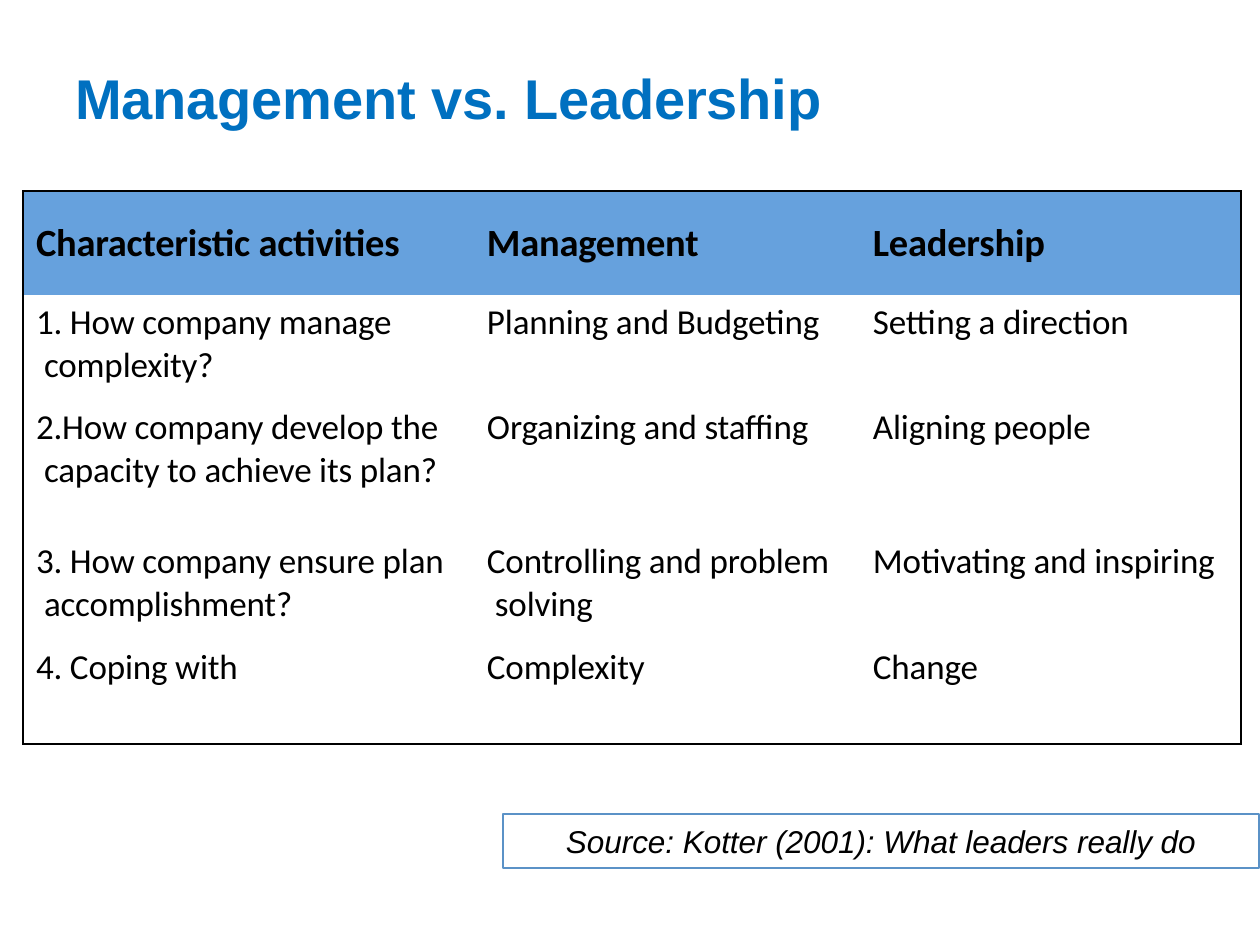
import pptx
import pptx.util
import pptx.dml.color
import pptx.enum.shapes
import pptx.enum.text
import pptx.oxml
import pptx.oxml.ns
import lxml.etree

PX = 914400 / 126
RGB = pptx.dml.color.RGBColor
WHITE = RGB(0xFF, 0xFF, 0xFF)
BLACK = RGB(0x00, 0x00, 0x00)
TITLE_BLUE = RGB(0x00, 0x70, 0xC0)
HEADER_BLUE = RGB(0x66, 0xA1, 0xDD)
BOX_BLUE = RGB(0x5B, 0x92, 0xC7)

TITLE_FONT = {"name": "Arial", "size": pptx.util.Pt(32), "bold": True}
HEADER_FONT = {"name": "Calibri", "size": pptx.util.Pt(22), "bold": True}
BODY_FONT = {"name": "Calibri", "size": pptx.util.Pt(20), "bold": False}
SOURCE_FONT = {"name": "Arial", "size": pptx.util.Pt(18), "italic": True}

COLUMNS = [445, 385, 388]
LEFT_INSETS = [13, 19, 20]
ROWS = [104, 102, 120, 120, 107]
TOP_INSETS = [29, 6, 9, 23, 9]
HANG = 8
ACTIVITIES = [
    ("Characteristic activities", "Management", "Leadership"),
    ("1. How company manage complexity?", "Planning and Budgeting", "Setting a direction"),
    ("2.How company develop the capacity to achieve its plan?", "Organizing and staffing",
     "Aligning people"),
    ("3. How company ensure plan accomplishment?", "Controlling and problem solving",
     "Motivating and inspiring"),
    ("4. Coping with", "Complexity", "Change"),
]


def emu(px):
    return pptx.util.Emu(round(px * PX))


def set_insets(target, left, top):
    insets = {"margin_left": left, "margin_top": top, "margin_right": 0, "margin_bottom": 0}
    for name, value in insets.items():
        setattr(target, name, emu(value))


def write(tf, text, font, color, spacing=-10):
    p = tf.paragraphs[0]
    p.alignment = pptx.enum.text.PP_ALIGN.LEFT
    r = p.add_run()
    r.text = text
    for name, value in font.items():
        setattr(r.font, name, value)
    r.font.color.rgb = color
    r._r.get_or_add_rPr().set("spc", str(spacing))
    return p


def set_borders(cell, visible):
    tcPr = cell._tc.get_or_add_tcPr()
    for i, side in enumerate("LRTB"):
        ln = lxml.etree.Element(pptx.oxml.ns.qn(f"a:ln{side}"), w="12700")
        if side in visible:
            fill = lxml.etree.SubElement(ln, pptx.oxml.ns.qn("a:solidFill"))
            lxml.etree.SubElement(fill, pptx.oxml.ns.qn("a:srgbClr"), val=str(BLACK))
        else:
            lxml.etree.SubElement(ln, pptx.oxml.ns.qn("a:noFill"))
        tcPr.insert(i, ln)


def place(sp, x, y, w, h):
    for name, value in {"left": x, "top": y, "width": w, "height": h}.items():
        setattr(sp, name, emu(value))


def add_title(s, x, y, w, h):
    sp = s.shapes.title
    place(sp, x, y, w, h)
    tf = sp.text_frame
    tf.word_wrap = True
    tf.auto_size = pptx.enum.text.MSO_AUTO_SIZE.NONE
    tf.vertical_anchor = pptx.enum.text.MSO_ANCHOR.TOP
    set_insets(tf, 1, 1)
    write(tf, "Management vs. Leadership", TITLE_FONT, TITLE_BLUE)


def add_comparison(s, x, y):
    frame = s.shapes.add_table(len(ROWS), len(COLUMNS), emu(x), emu(y),
                               emu(sum(COLUMNS)), emu(sum(ROWS)))
    table = frame.table
    table.horz_banding = False
    for column, width in zip(table.columns, COLUMNS):
        column.width = emu(width)
    for row, height in zip(table.rows, ROWS):
        row.height = emu(height)
    for i, texts in enumerate(ACTIVITIES):
        for j, text in enumerate(texts):
            cell = table.cell(i, j)
            hang = HANG if i else 0
            set_insets(cell, LEFT_INSETS[j], TOP_INSETS[i])
            cell.vertical_anchor = pptx.enum.text.MSO_ANCHOR.TOP
            p = write(cell.text_frame, text, BODY_FONT if i else HEADER_FONT, BLACK)
            pPr = p._p.get_or_add_pPr()
            pPr.set("marL", str(emu(hang)))
            pPr.set("indent", str(-emu(hang)))
            if i:
                cell.fill.background()
            else:
                cell.fill.solid()
                cell.fill.fore_color.rgb = HEADER_BLUE
            edges = {"L": j == 0, "R": j == len(COLUMNS) - 1,
                     "T": i == 0, "B": i == len(ROWS) - 1}
            set_borders(cell, [side for side, outer in edges.items() if outer])


def add_source(s, x, y, w, h):
    sp = s.shapes.add_shape(pptx.enum.shapes.MSO_SHAPE.RECTANGLE,
                            emu(x), emu(y), emu(w), emu(h))
    sp.shadow.inherit = False
    sp.fill.background()
    sp.line.color.rgb = BOX_BLUE
    sp.line.width = pptx.util.Pt(0.75)
    tf = sp.text_frame
    tf.word_wrap = True
    tf.vertical_anchor = pptx.enum.text.MSO_ANCHOR.TOP
    set_insets(tf, 63, 8)
    write(tf, "Source: Kotter (2001): What leaders really do", SOURCE_FONT, BLACK, -3)


def main():
    prs = pptx.Presentation()
    prs.slide_width = emu(1260)
    prs.slide_height = emu(945)
    s = prs.slides.add_slide(prs.slide_layouts[5])
    s.background.fill.solid()
    s.background.fill.fore_color.rgb = WHITE
    add_title(s, 74, 62, 753, 71)
    add_source(s, 503, 814, 756, 54)
    add_comparison(s, 23, 191)
    prs.save("out.pptx")


if __name__ == "__main__":
    main()
